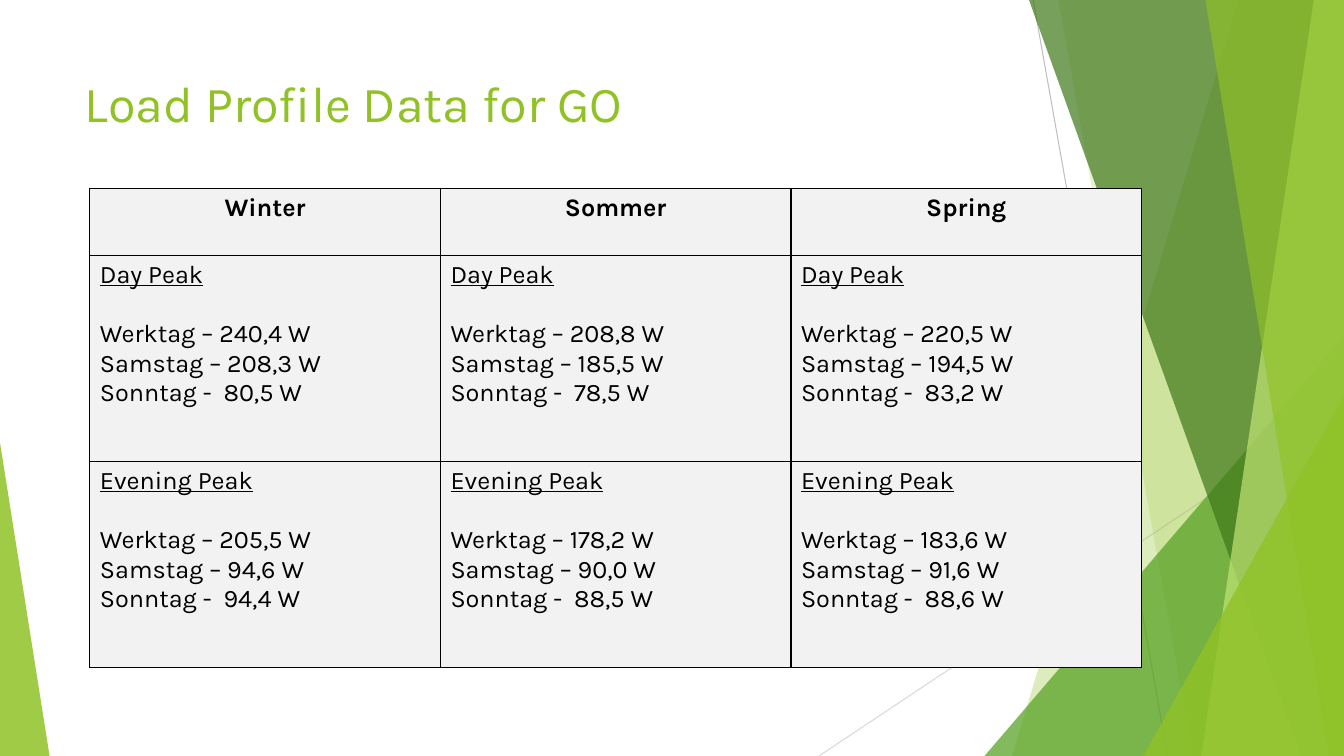
from lxml import etree
from pptx import Presentation
from pptx import util as u
from pptx.dml.color import RGBColor
from pptx.enum import shapes, text
from pptx.oxml import ns

# The slide is a grid of 16 columns by 9 rows.
COLS, ROWS = 16, 9
WIDTH, HEIGHT = u.Inches(13.33), u.Inches(7.5)

FONT = "Karla"
BLACK = RGBColor(0x00, 0x00, 0x00)
LIME = RGBColor(0x90, 0xC2, 0x26)
GREEN = RGBColor(0x54, 0xA0, 0x21)
DARK_GREEN = RGBColor(0x3F, 0x78, 0x19)
PALE_LIME = RGBColor(0xC0, 0xE4, 0x74)
GREY = RGBColor(0xBF, 0xBF, 0xBF)
LIGHT_GREY = RGBColor(0xD9, 0xD9, 0xD9)
CELL_GREY = RGBColor(0xF2, 0xF2, 0xF2)

SEASONS = ["Winter", "Sommer", "Spring"]
DAYS = ["Werktag – ", "Samstag – ", "Sonntag -  "]
PEAKS = {
    "Day Peak": [("240,4", "208,3", "80,5"),
                 ("208,8", "185,5", "78,5"),
                 ("220,5", "194,5", "83,2")],
    "Evening Peak": [("205,5", "94,6", "94,4"),
                     ("178,2", "90,0", "88,5"),
                     ("183,6", "91,6", "88,6")],
}


def x(col):
    return int(WIDTH * col / COLS)


def y(row):
    return int(HEIGHT * row / ROWS)


def place(box):
    left, top, width, height = box
    return x(left), y(top), x(width), y(height)


def paint(sp, colour, opacity):
    """Fill a shape with a see-through colour, without line or shadow."""
    sp.shadow.inherit = False
    sp.line.fill.background()
    sp.fill.solid()
    sp.fill.fore_color.rgb = colour
    clr = sp.fill._xPr.find(".//" + ns.qn("a:srgbClr"))
    etree.SubElement(clr, ns.qn("a:alpha"), val=str(opacity * 1000))


def hairline(s, start, end, colour):
    line = s.shapes.add_connector(shapes.MSO_CONNECTOR.STRAIGHT,
                                  x(start[0]), y(start[1]), x(end[0]), y(end[1]))
    line.line.color.rgb = colour
    line.line.width = u.Pt(0.75)
    etree.SubElement(line._element.spPr, ns.qn("a:effectLst"))


def band(s, top_col, bottom_col, colour, opacity):
    """Full-height band from a slanted left side to the slide's right edge."""
    outline = s.shapes.build_freeform(x(top_col), 0)
    outline.add_line_segments([(WIDTH, 0), (WIDTH, HEIGHT), (x(bottom_col), HEIGHT)])
    paint(outline.convert_to_shape(), colour, opacity)


def corner(s, box, apex, colour, opacity):
    """Right triangle whose apex is at the left (0) or right (1) of its box."""
    sp = s.shapes.add_shape(shapes.MSO_SHAPE.ISOSCELES_TRIANGLE, *place(box))
    sp.adjustments[0] = apex
    paint(sp, colour, opacity)


def add_backdrop(s):
    hairline(s, (12.3, 0), (13.9, ROWS), GREY)
    hairline(s, (COLS, 4.84), (9.75, ROWS), LIGHT_GREY)
    band(s, 14.74, 12.05, LIME, 30)
    band(s, 12.6, 14.2, LIME, 20)
    corner(s, (11.72, 4, 4.28, 5), 1, GREEN, 72)
    band(s, 12.25, 15.49, DARK_GREEN, 70)
    band(s, 15.64, 14.3, PALE_LIME, 70)
    band(s, 14.35, 15.82, LIME, 65)
    corner(s, (13.61, 4.72, 2.39, 4.28), 1, LIME, 80)
    corner(s, (0, 5.27, 0.59, 3.73), 0, LIME, 85)


def add_title(s, box, words):
    tf = s.shapes.add_textbox(*place(box)).text_frame
    tf.word_wrap = True
    tf.vertical_anchor = text.MSO_ANCHOR.TOP
    p = tf.paragraphs[0]
    p.text = words
    p.font.name, p.font.size, p.font.color.rgb = FONT, u.Pt(36), LIME


def fill_cell(cell, lines):
    """Write the lines and give the cell its grey fill and black border."""
    tf = cell.text_frame
    tf.text = "\n".join(lines)
    for p in tf.paragraphs:
        p.font.name, p.font.size, p.font.color.rgb = FONT, u.Pt(18), BLACK
    tcPr = cell._tc.get_or_add_tcPr()
    for side in ("lnL", "lnR", "lnT", "lnB"):
        ln = etree.SubElement(tcPr, ns.qn("a:" + side), w=str(u.Pt(1)))
        solid = etree.SubElement(ln, ns.qn("a:solidFill"))
        etree.SubElement(solid, ns.qn("a:srgbClr"), val=str(BLACK))
    cell.fill.solid()
    cell.fill.fore_color.rgb = CELL_GREY
    return tf.paragraphs[0]


def add_load_table(s, box, header_share):
    """Seasons across and peaks down; the peaks share the height below the header."""
    left, top, width, height = place(box)
    table = s.shapes.add_table(1 + len(PEAKS), len(SEASONS),
                               left, top, width, height).table
    table.first_row = table.horz_banding = False
    header = int(height * header_share)
    for i, row in enumerate(table.rows):
        row.height = (height - header) // len(PEAKS) if i else header

    for col, season in enumerate(SEASONS):
        p = fill_cell(table.cell(0, col), [season])
        p.alignment = text.PP_ALIGN.CENTER
        p.font.bold = True
        for row, (peak, loads) in enumerate(PEAKS.items(), 1):
            lines = [f"{day}{load} W" for day, load in zip(DAYS, loads[col])]
            p = fill_cell(table.cell(row, col), [peak] + lines)
            p.font.underline = True
            p.space_after = u.Pt(21)


def main():
    prs = Presentation()
    prs.slide_width, prs.slide_height = WIDTH, HEIGHT
    s = prs.slides.add_slide(prs.slide_layouts[6])
    add_backdrop(s)
    add_title(s, (0.89, 0.8, 11.28, 1.73), "Load Profile Data for GO")
    add_load_table(s, (1.07, 2.24, 12.52, 5.71), 0.14)
    prs.save("out.pptx")


if __name__ == "__main__":
    main()
